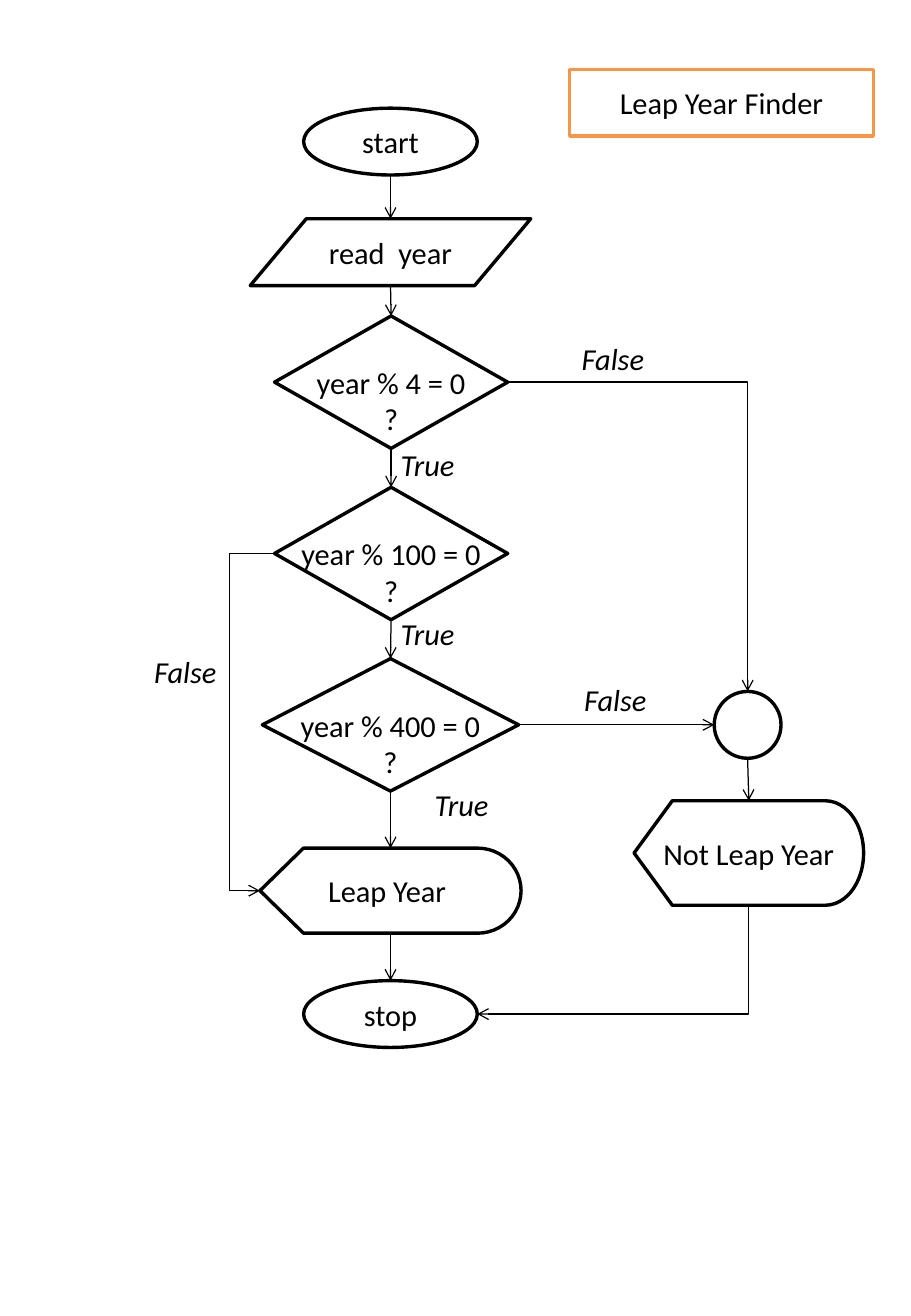
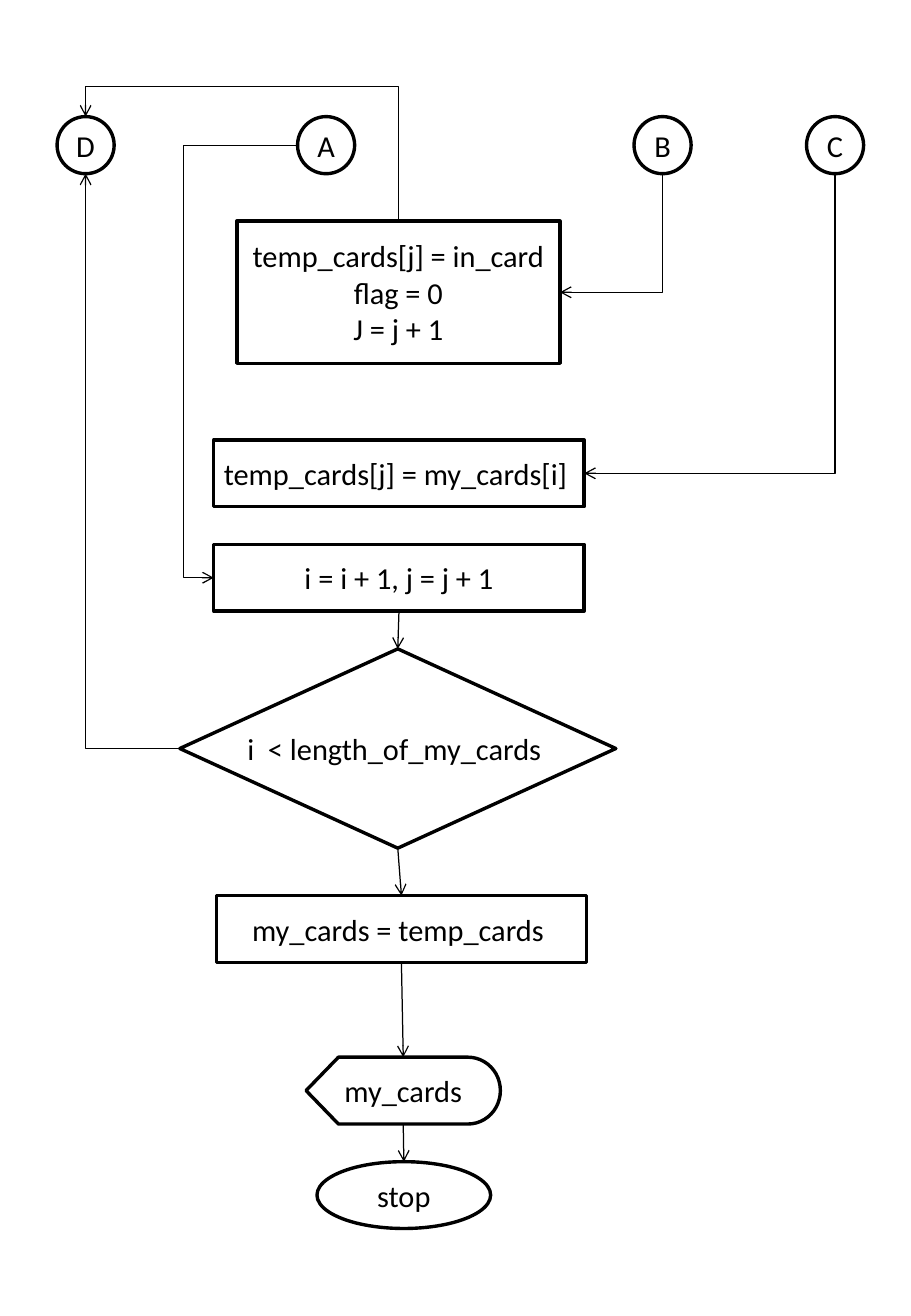
from dataclasses import dataclass
from typing import Optional

from lxml.etree import SubElement
from pptx import Presentation
from pptx.dml.color import RGBColor
from pptx.enum.shapes import MSO_CONNECTOR, MSO_SHAPE
from pptx.enum.text import MSO_ANCHOR, MSO_AUTO_SIZE, PP_ALIGN
from pptx.oxml.ns import qn
from pptx.slide import Slide
from pptx.text.text import TextFrame
from pptx.util import Inches, Pt

COLORS = {"ink": "000000", "paper": "FFFFFF", "title": "F79646"}
FONT, SIZE = "Calibri", 18
LINE_HEIGHT = 0.3
ROW = 0.55  # usual height of a node
TERMINAL = 1.43  # width of start and stop
JOINT = 0.47  # diameter of a lettered connector
LABEL_W, LABEL_H = 0.75, 0.4

OVAL, BOX = MSO_SHAPE.OVAL, MSO_SHAPE.RECTANGLE
DATA, DECISION = MSO_SHAPE.FLOWCHART_DATA, MSO_SHAPE.FLOWCHART_DECISION
DISPLAY = MSO_SHAPE.FLOWCHART_DISPLAY


@dataclass
class Node:
    """A flowchart shape; drop moves its text down by whole lines."""
    kind: MSO_SHAPE
    x: float
    y: float
    w: float
    h: float
    text: str = ""
    line: str = "ink"
    drop: int = 0

    def side(self, name: str) -> tuple[float, float]:
        """Return the middle of one side."""
        fx, fy = {"top": (0.5, 0), "bottom": (0.5, 1),
                  "left": (0, 0.5), "right": (1, 0.5)}[name]
        return self.x + fx * self.w, self.y + fy * self.h


@dataclass
class Link:
    """An arrow between node sides; lane is where its middle leg runs."""
    start: str
    end: str
    leave: str = "bottom"
    enter: str = "top"
    lane: Optional[float] = None


@dataclass
class Label:
    """The answer written beside an arrow."""
    text: str
    x: float
    y: float


def rgb(name: str) -> RGBColor:
    """Look up a colour."""
    return RGBColor.from_string(COLORS[name])


def write(tf: TextFrame, text: str, align: PP_ALIGN, italic: bool = False) -> None:
    """Fill a text frame, one paragraph per line."""
    for i, words in enumerate(text.split("\n")):
        p = tf.paragraphs[0] if i == 0 else tf.add_paragraph()
        p.alignment = align
        r = p.add_run()
        r.text = words
        r.font.name, r.font.size = FONT, Pt(SIZE)
        r.font.italic = italic
        r.font.color.rgb = rgb("ink")


def draw_node(slide: Slide, node: Node) -> None:
    """Draw a node with centred text."""
    sp = slide.shapes.add_shape(node.kind, *map(Inches, (node.x, node.y, node.w, node.h)))
    sp.shadow.inherit = False
    sp.fill.solid()
    sp.fill.fore_color.rgb = rgb("paper")
    sp.line.color.rgb = rgb(node.line)
    sp.line.width = Pt(2)
    if node.text:
        tf = sp.text_frame
        tf.word_wrap = False
        tf.vertical_anchor = MSO_ANCHOR.MIDDLE
        tf.margin_top = Inches(0.05 + node.drop * LINE_HEIGHT)
        write(tf, node.text, PP_ALIGN.CENTER)


def draw_label(slide: Slide, label: Label) -> None:
    """Draw an italic label."""
    sp = slide.shapes.add_textbox(*map(Inches, (label.x, label.y, LABEL_W, LABEL_H)))
    tf = sp.text_frame
    tf.word_wrap = False
    tf.auto_size = MSO_AUTO_SIZE.SHAPE_TO_FIT_TEXT
    write(tf, label.text, PP_ALIGN.LEFT, italic=True)


def draw_link(slide: Slide, link: Link, nodes: dict[str, Node]) -> None:
    """Draw a straight or bent arrow between two nodes."""
    x1, y1 = nodes[link.start].side(link.leave)
    x2, y2 = nodes[link.end].side(link.enter)
    vertical = link.leave in ("top", "bottom")
    corner = vertical != (link.enter in ("top", "bottom"))
    bent = corner or link.lane is not None
    first, last = (y1, y2) if vertical else (x1, x2)
    rotation = 0
    if bent and vertical:
        # A leg that leaves vertically is a horizontal one, turned about the centre.
        cx, cy = (x1 + x2) / 2, (y1 + y2) / 2
        w, h = abs(y2 - y1), abs(x2 - x1)
        rotation = 90 if y2 > y1 else 270
        if (x2 > x1) == (y2 > y1):
            h = -h
        x1, y1, x2, y2 = cx - w / 2, cy - h / 2, cx + w / 2, cy + h / 2
    kind = MSO_CONNECTOR.ELBOW if bent else MSO_CONNECTOR.STRAIGHT
    sp = slide.shapes.add_connector(kind, *map(Inches, (x1, y1, x2, y2)))
    sp.line.color.rgb = rgb("ink")
    sp.line.width = Pt(0.75)
    props = sp._element.spPr
    SubElement(props.find(qn("a:ln")), qn("a:tailEnd"), type="arrow")
    SubElement(props, qn("a:effectLst"))
    if rotation:
        props.find(qn("a:xfrm")).set("rot", str(rotation * 60000))
    geometry = props.find(qn("a:prstGeom"))
    if corner:
        geometry.set("prst", "bentConnector2")
    elif bent:
        guides = geometry.find(qn("a:avLst"))
        share = round((link.lane - first) / (last - first) * 100000)
        SubElement(guides, qn("a:gd"), name="adj1", fmla=f"val {share}")


def draw_chart(prs: Presentation, nodes: dict[str, Node], links: list[Link],
               labels: list[Label]) -> None:
    """Add a slide holding one flowchart."""
    slide = prs.slides.add_slide(prs.slide_layouts[6])
    for node in nodes.values():
        draw_node(slide, node)
    for link in links:
        draw_link(slide, link, nodes)
    for label in labels:
        draw_label(slide, label)


LEAP_NODES = {
    "start": Node(OVAL, 2.5, 0.89, TERMINAL, ROW, "start"),
    "read": Node(DATA, 2.06, 1.8, 2.31, ROW, "read  year"),
    "by 4": Node(DECISION, 2.26, 2.6, 1.92, 1.09, "year % 4 = 0\n?", drop=1),
    "by 100": Node(DECISION, 2.26, 4.01, 1.92, 1.09, "year % 100 = 0\n?", drop=1),
    "by 400": Node(DECISION, 2.16, 5.42, 2.11, 1.09, "year % 400 = 0\n?", drop=1),
    "leap": Node(DISPLAY, 2.14, 6.98, 2.15, 0.7, "Leap Year "),
    "join": Node(OVAL, 5.88, 5.69, ROW, ROW),
    "not leap": Node(DISPLAY, 5.22, 6.59, 1.89, 0.86, "Not Leap Year"),
    "stop": Node(OVAL, 2.5, 8.07, TERMINAL, ROW, "stop"),
    "title": Node(BOX, 4.69, 0.57, 2.5, ROW, "Leap Year Finder", line="title"),
}
LEAP_LINKS = [
    Link("start", "read"),
    Link("read", "by 4"),
    Link("by 4", "by 100"),
    Link("by 100", "by 400"),
    Link("by 400", "leap"),
    Link("leap", "stop"),
    Link("join", "not leap"),
    Link("by 4", "join", "right", "top"),
    Link("by 400", "join", "right", "left"),
    Link("by 100", "leap", "left", "left", lane=1.89),
    Link("not leap", "stop", "bottom", "right"),
]
LEAP_LABELS = [
    Label("True", 3.2, 3.62), Label("True", 3.2, 5.01), Label("True", 3.48, 6.42),
    Label("False", 4.69, 2.75), Label("False", 4.71, 5.56), Label("False", 1.17, 5.33),
]

CARD_NODES = {
    "insert": Node(BOX, 1.95, 1.82, 2.66, 1.17,
                   "temp_cards[j] = in_card\nflag = 0\nJ = j + 1"),
    "keep": Node(BOX, 1.76, 3.62, 3.05, ROW, "temp_cards[j] = my_cards[i] "),
    "advance": Node(BOX, 1.76, 4.48, 3.05, ROW, "i = i + 1, j = j + 1"),
    "more": Node(DECISION, 1.48, 5.34, 3.59, 1.64, "i  < length_of_my_cards "),
    "assign": Node(BOX, 1.78, 7.37, 3.05, ROW, "my_cards = temp_cards "),
    "show": Node(DISPLAY, 2.52, 8.7, 1.6, ROW, "my_cards"),
    "stop": Node(OVAL, 2.61, 9.56, TERMINAL, ROW, "stop"),
}
for letter, left in zip("DABC", (0.47, 2.45, 5.22, 6.64)):
    CARD_NODES[letter] = Node(OVAL, left, 0.96, JOINT, JOINT, letter)
CARD_LINKS = [
    Link("advance", "more"),
    Link("more", "assign"),
    Link("assign", "show"),
    Link("show", "stop"),
    Link("C", "keep", "bottom", "right"),
    Link("B", "insert", "bottom", "right"),
    Link("A", "advance", "left", "left", lane=1.51),
    Link("more", "D", "left", "bottom"),
    Link("insert", "D", "top", "top", lane=0.71),
]

prs = Presentation()
prs.slide_width, prs.slide_height = Inches(7.5), Inches(10.83)
draw_chart(prs, LEAP_NODES, LEAP_LINKS, LEAP_LABELS)
draw_chart(prs, CARD_NODES, CARD_LINKS, [])
prs.save("out.pptx")
